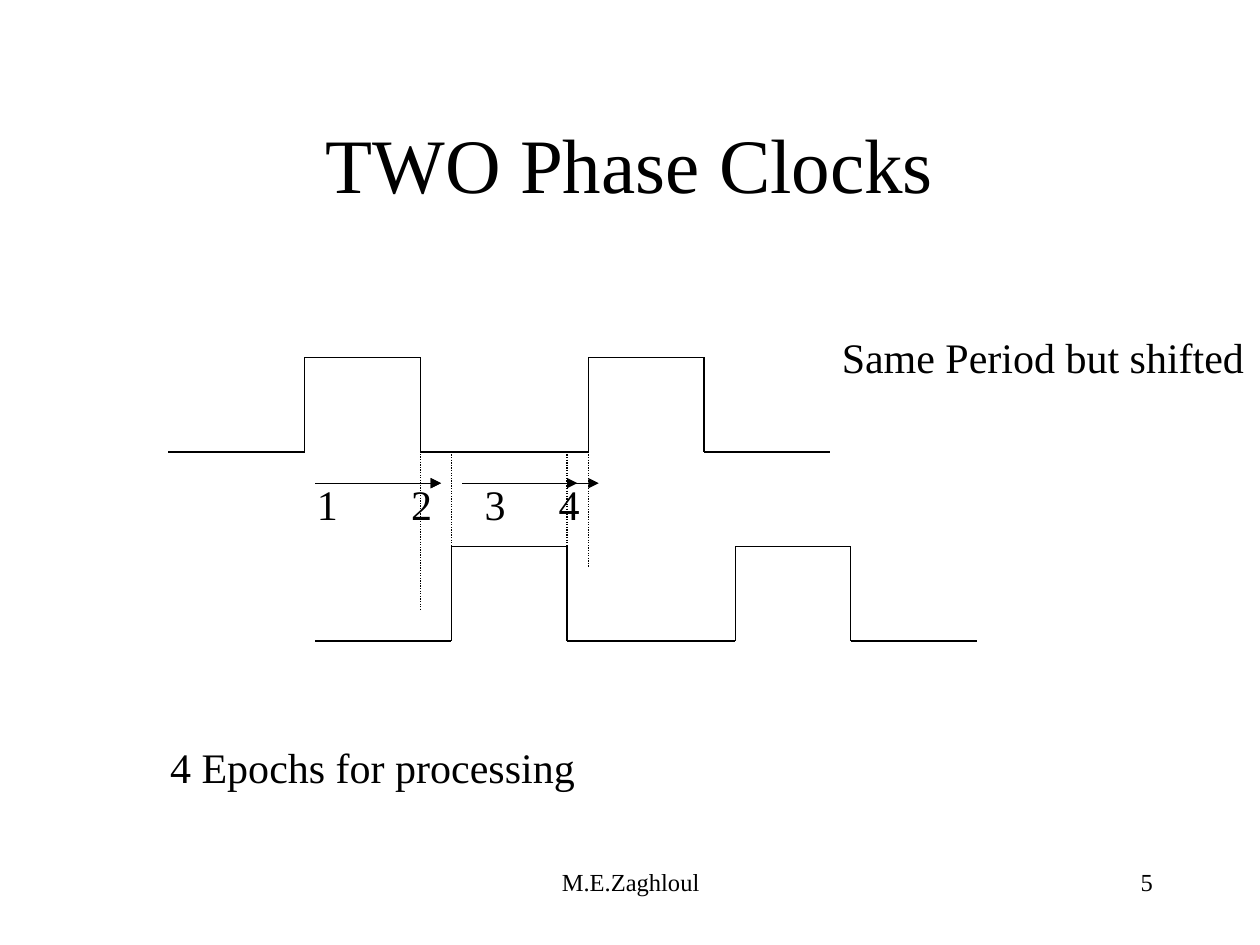
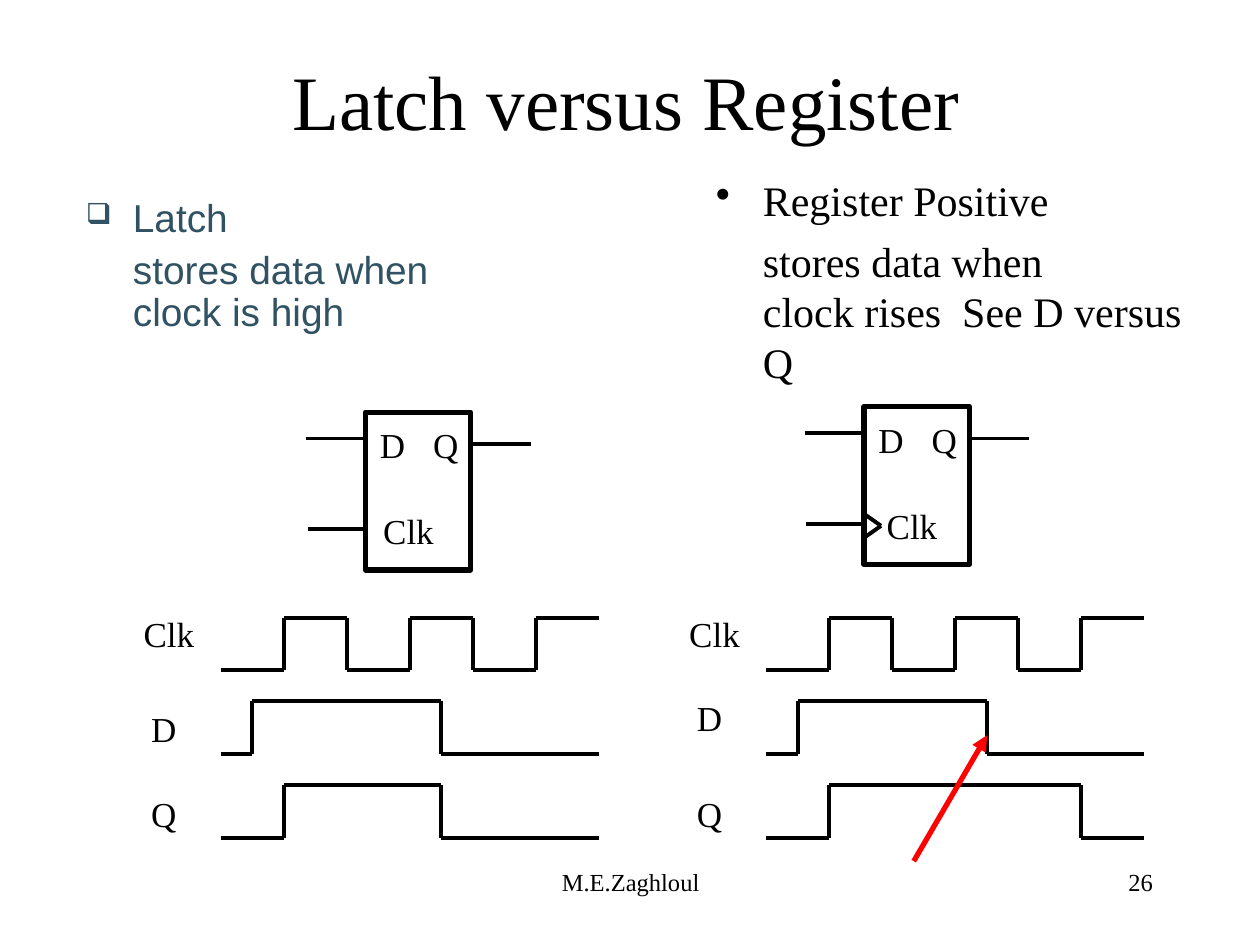
"""Build two slides on clock phases and storage cells."""
from dataclasses import dataclass

from lxml import etree
from pptx import Presentation
from pptx import util as u
from pptx.dml.color import RGBColor
from pptx.enum import dml, shapes, text
from pptx.oxml import ns

Cm, Pt = u.Cm, u.Pt
ALIGN, ANCHOR = text.PP_ALIGN, text.MSO_ANCHOR


@dataclass(frozen=True)
class Theme:
    """Hold the colours, fonts, type sizes and line weights."""
    ink: str = "000000"
    slate: str = "315263"
    red: str = "FF0000"
    serif: str = "Times New Roman"
    sans: str = "Arial"
    title: float = 44
    body: float = 24
    list: float = 22.2
    label: float = 20
    foot: float = 14
    thin: float = 0.75
    mid: float = 2.25
    bold: float = 3


T = Theme()


def tint(hue):
    """Turn a hex string into a colour."""
    return RGBColor.from_string(hue)


def sub(node, tag, **attrs):
    """Append a drawing element to a node."""
    return etree.SubElement(node, ns.qn(tag), **attrs)


def style(para, size, font=T.serif, hue=T.ink):
    """Set the font of a paragraph."""
    para.font.size, para.font.name = Pt(size), font
    para.font.color.rgb = tint(hue)


def frame(slide, box, anchor=ANCHOR.TOP):
    """Add an empty wrapping text box and return its frame."""
    body = slide.shapes.add_textbox(*map(Cm, box)).text_frame
    body.word_wrap, body.vertical_anchor = True, anchor
    return body


def write(slide, box, words, size=T.body, align=ALIGN.LEFT, anchor=ANCHOR.TOP):
    """Write one paragraph in a box and return it."""
    para = frame(slide, box, anchor).paragraphs[0]
    para.text, para.alignment = words, align
    style(para, size)
    return para


def label(slide, x, y, words):
    """Write a centred signal name at a point."""
    wide = 1.73 if len(words) > 1 else 1.09
    write(slide, (x, y, wide, 1.12), words, T.label, ALIGN.CENTER, ANCHOR.MIDDLE)


def line(slide, start, end, weight, hue=T.ink, head=False, dots=False):
    """Draw a straight line, with an arrowhead or dots if asked."""
    link = slide.shapes.add_connector(
        shapes.MSO_CONNECTOR.STRAIGHT, *map(Cm, (*start, *end)))
    link.line.width, link.line.color.rgb = Pt(weight), tint(hue)
    if dots:
        link.line.dash_style = dml.MSO_LINE.ROUND_DOT
    if head:
        sub(link.line._get_or_add_ln(), "a:tailEnd", type="triangle")
    sub(link._element.spPr, "a:effectLst")


def wave(slide, box, edges, weight):
    """Draw a signal that starts low and flips at each edge."""
    x, y, wide, high = box
    stops = [0, *edges, wide]
    for i, (a, b) in enumerate(zip(stops, stops[1:])):
        now, then = (y, y + high) if i % 2 else (y + high, y)
        line(slide, (x + a, now), (x + b, now), weight)
        if b < wide:
            line(slide, (x + b, now), (x + b, then), weight)


def base(deck, title, box, number):
    """Add a blank slide with its title and footers."""
    slide = deck.slides.add_slide(deck.slide_layouts[6])
    write(slide, (8.69, 17.35, 8.05, 1.27), "M.E.Zaghloul", T.foot, ALIGN.CENTER)
    write(slide, (18.21, 17.35, 5.28, 1.27), number, T.foot, ALIGN.RIGHT)
    write(slide, box, title, T.title, ALIGN.CENTER, ANCHOR.MIDDLE)
    return slide


def phases(slide, x, y):
    """Draw two shifted clocks, their guides and the epochs between."""
    edges = (2.75, 5.08, 8.47, 10.8)
    for dx, dy in ((0, 0), (2.96, 3.81)):
        wave(slide, (x + dx, y + dy, 13.34, 1.91), edges, T.thin)
    for a, b in ((2.96, 5.5), (4.66, 5.5), (5.93, 8.25), (8.04, 8.68)):
        line(slide, (x + a, y + 2.54), (x + b, y + 2.54), T.thin, head=True)
    for dx, top, end in ((5.08, 1.69, 5.08), (5.71, 1.91, 3.81),
                         (8.04, 1.91, 3.81), (8.47, 1.91, 4.23)):
        line(slide, (x + dx, y + top), (x + dx, y + end), T.thin, dots=True)
    para = write(slide, (x + 1.9, y + 2.33, 8.05, 1.27), "\t1\t2\t3\t4")
    tabs = sub(para._p.get_or_add_pPr(), "a:tabLst")
    for stop in (0.85, 2.75, 4.23, 5.72):
        sub(tabs, "a:tab", pos=str(Cm(stop)), algn="l")
    props = para._p.pPr
    props.insert(0, tabs)


def notes(slide, box, rows, mark, scale, space, *font):
    """Write a bulleted heading with its indented explanation."""
    body = frame(slide, box)
    for i, words in enumerate(rows):
        para = body.add_paragraph() if i else body.paragraphs[0]
        para.text = words
        para.space_before, para.line_spacing = Pt(6), space
        style(para, *font)
        props = para._p.get_or_add_pPr()
        props.set("marL", str(Cm(0.95)))
        props.set("indent", str(0 if i else -Cm(0.95)))
        bullet = [etree.Element(ns.qn("a:buNone"))]
        if not i:
            bullet = [etree.Element(ns.qn("a:buSzPct"), val=str(scale * 1000)),
                      etree.Element(ns.qn("a:buChar"), char=mark)]
        for part in bullet:
            props.insert(props.index(props.find(ns.qn("a:defRPr"))), part)


def cell(slide, x, y, edged):
    """Draw a storage cell, with a clock wedge if edge triggered."""
    block = slide.shapes.add_shape(
        shapes.MSO_SHAPE.RECTANGLE, *map(Cm, (x, y, 2.12, 3.18)))
    block.shadow.inherit = False
    block.fill.background()
    block.line.width, block.line.color.rgb = Pt(T.bold), tint(T.ink)
    for dx, dy in ((-1.2, 0.53), (-1.17, 2.36), (2.13, 0.64)):
        line(slide, (x + dx, y + dy), (x + dx + 1.2, y + dy), T.mid)
    label(slide, x, y + 0.1, "D")
    label(slide, x + 1.07, y + 0.1, "Q")
    label(slide, x + 0.1 * edged, y + 1.83, "Clk")
    if edged:
        for dy in (2.16, 2.64):
            line(slide, (x, y + dy), (x + 0.34, y + 2.4), T.mid)


def timing(slide, x, y, fall, drop):
    """Draw the clock, data and output waves with their names."""
    step, pitch = 0.635, 1.69
    rows = (("Clk", -1.91, -0.23, (2, 4, 6, 8, 10)),
            ("D", -1.69, drop, (1, 7)),
            ("Q", -1.69, 0, (2, fall)))
    for i, (name, dx, dy, ticks) in enumerate(rows):
        top = y + i * pitch
        wave(slide, (x, top, 12 * step, 1.06), [t * step for t in ticks], T.mid)
        label(slide, x + dx, top + dy, name)


def clocks(deck):
    """Build the slide on two phase clocks."""
    slide = base(deck, "TWO Phase Clocks", (1.9, 1.7, 21.59, 3.18), "5")
    phases(slide, 3.39, 7.2)
    write(slide, (3.18, 14.82, 9.1, 1.27), "4 Epochs for processing")
    write(slide, (16.72, 6.56, 8.68, 1.27), "Same Period but shifted")


def stores(deck):
    """Build the slide that sets latch against register."""
    slide = base(deck, "Latch versus Register", (1.83, 1.02, 21.59, 1.98), "26")
    notes(slide, (1.48, 3.88, 11.53, 3.38),
          ("Latch", "stores data when\vclock is high"),
          "❑", 75, 0.9, T.list, T.sans, T.slate)
    notes(slide, (14.18, 3.39, 10.37, 4.66),
          ("Register Positive", "stores data when\vclock rises  See D versus Q"),
          "•", 100, 1.0, T.body)
    cell(slide, 7.37, 8.31, False)
    cell(slide, 17.42, 8.2, True)
    timing(slide, 4.45, 12.45, 7, -0.02)
    timing(slide, 15.45, 12.45, 10, -0.23)
    line(slide, (18.42, 17.36), (19.9, 14.82), T.bold, T.red, head=True)


def main():
    """Build and save the deck."""
    deck = Presentation()
    deck.slide_width, deck.slide_height = Cm(25.4), Cm(19.05)
    clocks(deck)
    stores(deck)
    deck.save("out.pptx")


if __name__ == "__main__":
    main()
